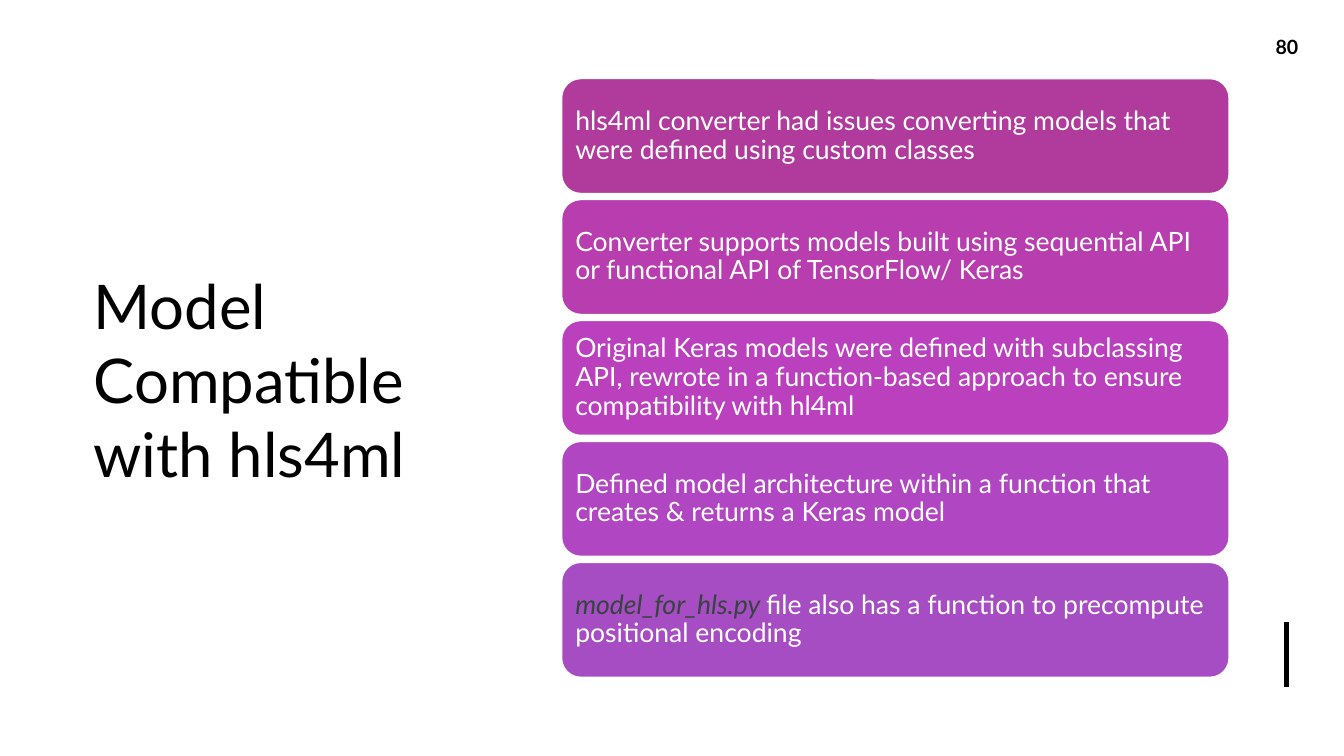
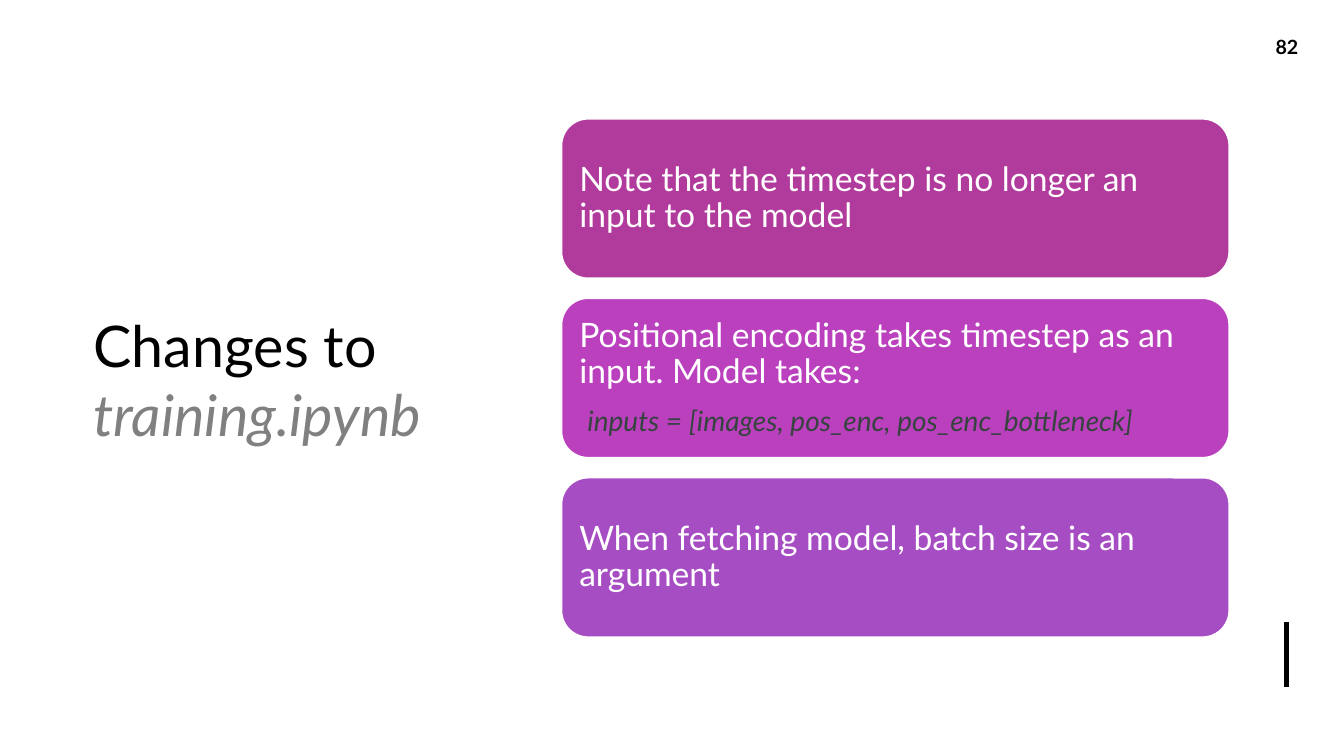
from pptx import Presentation
from pptx.dml.color import RGBColor
from pptx.enum.shapes import MSO_CONNECTOR as Link, MSO_SHAPE as Shape
from pptx.enum.text import MSO_ANCHOR as Anchor, PP_ALIGN as Align
from pptx.oxml.ns import qn
from pptx.util import Inches, Pt
from lxml.etree import SubElement

BLACK = RGBColor(0x00, 0x00, 0x00)
WHITE = RGBColor(0xFF, 0xFF, 0xFF)
GRAY = RGBColor(0x80, 0x80, 0x80)
SLATE = RGBColor(0x36, 0x43, 0x3F)
MAGENTA = RGBColor(0xB1, 0x3B, 0x9C)
PINK = RGBColor(0xB8, 0x3D, 0xAF)
ORCHID = RGBColor(0xBA, 0x40, 0xBE)
VIOLET = RGBColor(0xB0, 0x46, 0xC1)
PURPLE = RGBColor(0xA7, 0x4D, 0xC3)

MID = 3.75  # centre line of every card stack

SLIDES = [
    {
        "page": "80",
        "title": [("Model Compatible with hls4ml", BLACK, False)],
        "size": 44,
        "card": {"high": 1.14, "gap": 0.06, "pad": 0.08, "size": 19},
        "fills": [MAGENTA, PINK, ORCHID, VIOLET, PURPLE],
        "texts": [
            [("hls4ml converter had issues converting models that were "
              "defined using custom classes", WHITE, False)],
            [("Converter supports models built using sequential API or "
              "functional API of TensorFlow/ Keras", WHITE, False)],
            [("Original Keras models were defined with subclassing API, "
              "rewrote in a function-based approach to ensure "
              "compatibility with hl4ml", WHITE, False)],
            [("Defined model architecture within a function that creates "
              "& returns a Keras model", WHITE, False)],
            [("model_for_hls.py ", SLATE, True),
             ("file also has a function to precompute positional encoding",
              WHITE, False)],
        ],
        "code": {},
    },
    {
        "page": "82",
        "title": [("Changes to ", BLACK, False),
                  ("training.ipynb", GRAY, True)],
        "size": 41,
        "card": {"high": 1.58, "gap": 0.2, "pad": 0.1, "size": 24},
        "fills": [MAGENTA, ORCHID, PURPLE],
        "texts": [
            [("Note that the timestep is no longer an input to the model",
              WHITE, False)],
            [("Positional encoding takes timestep as an input. "
              "Model takes:", WHITE, False)],
            [("When fetching model, batch size is an argument",
              WHITE, False)],
        ],
        "code": {1: "inputs = [images, pos_enc, pos_enc_bottleneck]"},
    },
]


def write(para, runs, size, bold=False):
    """Add (text, colour, italic) runs to a paragraph."""
    for text, color, slant in runs:
        run = para.add_run()
        run.text = text
        style = {"name": "Lato", "size": Pt(size), "bold": bold,
                 "italic": slant}
        for key, value in style.items():
            setattr(run.font, key, value)
        run.font.color.rgb = color


def add_label(slide, box, runs, size, align=Align.LEFT, bold=False):
    frame = slide.shapes.add_textbox(*map(Inches, box)).text_frame
    frame.word_wrap = True
    frame.vertical_anchor = Anchor.MIDDLE
    para = frame.paragraphs[0]
    para.alignment = align
    write(para, runs, size, bold)


deck = Presentation()
deck.slide_width = Inches(13.33)
deck.slide_height = Inches(7.5)

for data in SLIDES:
    slide = deck.slides.add_slide(deck.slide_layouts[6])
    add_label(slide, (0.83, 0.94, 3.77, 5.64), data["title"], data["size"])

    bar = slide.shapes.add_connector(
        Link.STRAIGHT, Inches(12.76), Inches(6.17),
        Inches(12.76), Inches(6.82))
    bar.line.color.rgb = BLACK
    bar.line.width = Pt(3)
    SubElement(bar._element.spPr, qn("a:effectLst"))

    card = data["card"]
    step = card["high"] + card["gap"]
    top = MID - (step * len(data["texts"]) - card["gap"]) / 2
    for row, (fill, runs) in enumerate(zip(data["fills"], data["texts"])):
        shape = slide.shapes.add_shape(
            Shape.ROUNDED_RECTANGLE, Inches(5.57), Inches(top + row * step),
            Inches(6.62), Inches(card["high"]))
        shape.shadow.inherit = False
        shape.fill.solid()
        shape.fill.fore_color.rgb = fill
        shape.line.color.rgb = WHITE
        shape.line.width = Pt(1)

        frame = shape.text_frame
        frame.word_wrap = True
        frame.vertical_anchor = Anchor.MIDDLE
        for side in ("left", "top", "right", "bottom"):
            setattr(frame, "margin_" + side, Inches(card["pad"]))
        para = frame.paragraphs[0]
        write(para, runs, card["size"])
        if row in data["code"]:
            para.space_after = Pt(12)
            code = frame.add_paragraph()
            code._p.get_or_add_pPr().set("marL", str(Inches(0.08)))
            write(code, [(data["code"][row], SLATE, True)], 20)
        for para in frame.paragraphs:
            para.alignment = Align.LEFT
            para.line_spacing = 0.9

    add_label(slide, (12.35, 0.26, 0.83, 0.4),
              [(data["page"], BLACK, False)], 14, Align.CENTER, True)

deck.save("out.pptx")
